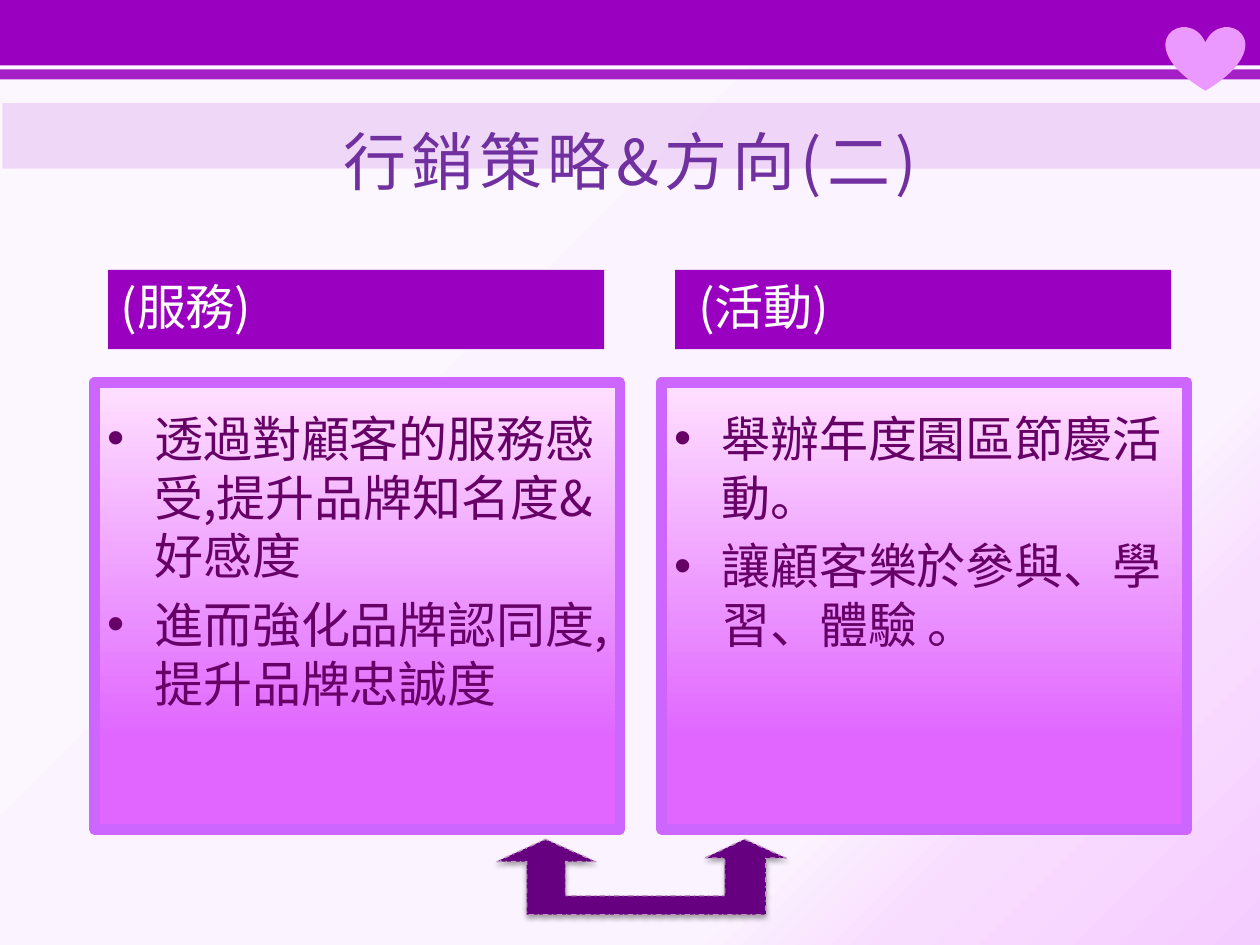
"""Build the marketing strategy slide with two linked panels."""
import lxml.etree
import pptx
import pptx.dml.color
import pptx.enum.dml
import pptx.enum.shapes
import pptx.enum.text
import pptx.oxml.ns
import pptx.util

Cm = pptx.util.Cm
Pt = pptx.util.Pt
qn = pptx.oxml.ns.qn
RGBColor = pptx.dml.color.RGBColor
SHAPE = pptx.enum.shapes.MSO_SHAPE
ALIGN = pptx.enum.text.PP_ALIGN
ANCHOR = pptx.enum.text.MSO_ANCHOR

VIOLET = RGBColor(0x99, 0x00, 0xBF)
DEEP_VIOLET = RGBColor(0x66, 0x00, 0x80)
MAUVE = RGBColor(0xBD, 0x97, 0xBD)
BORDER = RGBColor(0xCC, 0x66, 0xFF)
PINK = RGBColor(0xEB, 0x99, 0xFF)
PLUM = RGBColor(0x66, 0x00, 0x66)
TITLE = RGBColor(0x70, 0x30, 0xA0)
WHITE = RGBColor(0xFF, 0xFF, 0xFF)
BLACK = RGBColor(0x00, 0x00, 0x00)
PANEL_STOPS = [
    (0, RGBColor(0xFF, 0xE0, 0xFF)),
    (80, RGBColor(0xE0, 0x66, 0xFF)),
    (100, RGBColor(0xE0, 0x66, 0xFF)),
]
PAGE_STOPS = [
    (0, RGBColor(0xFC, 0xF7, 0xFF)),
    (74, RGBColor(0xFB, 0xF3, 0xFF)),
    (83, RGBColor(0xF9, 0xDD, 0xFF)),
    (100, RGBColor(0xF5, 0xCC, 0xFF)),
]

BANDS = [(0, 0, 1.32, 100), (0.05, 2.08, 1.32, 12), (0, 1.4, 0.2, 87)]
ARROW = [
    (15.01, 16.92), (15.85, 17.3), (15.44, 17.3), (15.44, 18.44),
    (10.62, 18.44), (10.62, 17.37), (10.01, 17.37), (11, 16.92),
    (12.01, 17.37), (11.4, 17.37), (11.4, 18.06), (14.61, 18.06),
    (14.61, 17.3), (14.2, 17.3),
]
PANELS = [
    ("(服務)", ["透過對顧客的服務感受,提升品牌知名度&好感度",
              "進而強化品牌認同度,提升品牌忠誠度"]),
    (" (活動)", ["舉辦年度園區節慶活動。", "讓顧客樂於參與、學習、體驗 。"]),
]
PANEL_LEFT, PANEL_PITCH = 1.91, 11.43


class Deck:
    """Hold the style and the current slide."""

    def __init__(self, font):
        """Start a presentation with one blank slide."""
        self.font = font
        self.prs = pptx.Presentation()
        self.prs.slide_width, self.prs.slide_height = Cm(25.4), Cm(19.05)
        self.s = self.prs.slides.add_slide(self.prs.slide_layouts[6])

    def sub(self, parent, tag, **attrs):
        """Append a DrawingML element."""
        el = lxml.etree.SubElement(parent, qn(tag))
        for name, value in attrs.items():
            el.set(name, str(value))
        return el

    def gradient(self, fill, owner, stops):
        """Give a fill its gradient stops and return the gradient element."""
        fill.gradient()
        grad = owner.find(".//" + qn("a:gradFill"))
        for child in list(grad):
            grad.remove(child)
        stop_list = self.sub(grad, "a:gsLst")
        for pos, color in stops:
            gs = self.sub(stop_list, "a:gs", pos=pos * 1000)
            self.sub(gs, "a:srgbClr", val=color)
        return grad

    def background(self, stops):
        """Spread a radial gradient from the top left corner."""
        grad = self.gradient(self.s.background.fill, self.s.element, stops)
        radial = self.sub(grad, "a:path")
        radial.set("path", "circle")
        self.sub(radial, "a:fillToRect", r=100000, b=100000)

    def box(self, left, top, width, height, color, alpha=100, kind=SHAPE.RECTANGLE):
        """Add a filled shape without an outline."""
        sp = self.s.shapes.add_shape(kind, Cm(left), Cm(top), Cm(width), Cm(height))
        sp.shadow.inherit = False
        sp.fill.solid()
        sp.fill.fore_color.rgb = color
        sp.line.fill.background()
        if alpha < 100:
            clr = sp.element.spPr.find(qn("a:solidFill"))[0]
            self.sub(clr, "a:alpha", val=alpha * 1000)
        return sp

    def arrow(self, points):
        """Add the two-headed arrow with its soft shadow."""
        start, *rest = [(Cm(x), Cm(y)) for x, y in points]
        builder = self.s.shapes.build_freeform(*start)
        builder.add_line_segments(rest, close=True)
        sp = builder.convert_to_shape()
        sp.fill.solid()
        sp.fill.fore_color.rgb = DEEP_VIOLET
        sp.line.color.rgb = MAUVE
        sp.line.width = Pt(0.75)
        sp.line.dash_style = pptx.enum.dml.MSO_LINE.DASH_DOT
        sp.shadow.inherit = False
        effects = sp.element.spPr.find(qn("a:effectLst"))
        shadow = self.sub(effects, "a:outerShdw", blurRad=Pt(3.1), dist=Pt(1.8),
                          dir=5400000, rotWithShape=0)
        self.sub(self.sub(shadow, "a:srgbClr", val=BLACK), "a:alpha", val=35000)

    def text(self, sp, lines, size, color, align=ALIGN.LEFT,
             anchor=ANCHOR.TOP, before=0, spacing=0, bullet=False):
        """Set and format the paragraphs of a shape."""
        tf = sp.text_frame
        tf.word_wrap = True
        tf.vertical_anchor = anchor
        tf.text = "\n".join(lines)
        for p in tf.paragraphs:
            p.alignment = align
            p.space_before = Pt(before)
            if bullet:
                pPr = p._p.get_or_add_pPr()
                pPr.set("marL", str(Cm(0.95)))
                pPr.set("indent", str(-Cm(0.95)))
                self.sub(pPr, "a:buFont", typeface="Arial")
                self.sub(pPr, "a:buChar", char="•")
            for r in p.runs:
                r.font.size = Pt(size)
                r.font.name = self.font
                r.font.color.rgb = color
                rPr = r._r.get_or_add_rPr()
                self.sub(rPr, "a:ea", typeface=self.font)
                if spacing:
                    rPr.set("spc", str(spacing * 100))

    def title(self, text):
        """Add the centred slide title."""
        sp = self.s.shapes.add_textbox(Cm(1.91), Cm(2.36), Cm(21.59), Cm(1.73))
        self.text(sp, [text], 36, TITLE, ALIGN.CENTER, ANCHOR.MIDDLE, spacing=3)

    def label(self, left, text):
        """Add the heading bar above a panel."""
        sp = self.box(left, 5.44, 10, 1.6, VIOLET)
        self.text(sp, [text], 28, WHITE, before=5.6)

    def panel(self, left, lines):
        """Add a bordered gradient panel with bullets."""
        sp = self.box(left, 7.72, 10.59, 9, PINK)
        grad = self.gradient(sp.fill, sp.element, PANEL_STOPS)
        self.sub(grad, "a:lin", ang=5400000, scaled=0)
        sp.line.color.rgb = BORDER
        sp.line.width = Pt(6.25)
        sp.text_frame.margin_top = Cm(0.51)
        self.text(sp, lines, 28, PLUM, before=5.6, bullet=True)


def main():
    """Compose and save the slide."""
    deck = Deck("Noto Sans CJK SC")
    deck.background(PAGE_STOPS)
    for left, top, height, alpha in BANDS:
        deck.box(left, top, 25.4 - left, height, VIOLET, alpha)
    deck.box(23.5, 0.53, 1.6, 1.3, PINK, kind=SHAPE.HEART)
    deck.arrow(ARROW)
    deck.title("行銷策略&方向(二)")
    for i, (heading, lines) in enumerate(PANELS):
        left = PANEL_LEFT + i * PANEL_PITCH
        deck.panel(left, lines)
        deck.label(left + 0.27, heading)
    deck.prs.save("out.pptx")


if __name__ == "__main__":
    main()
